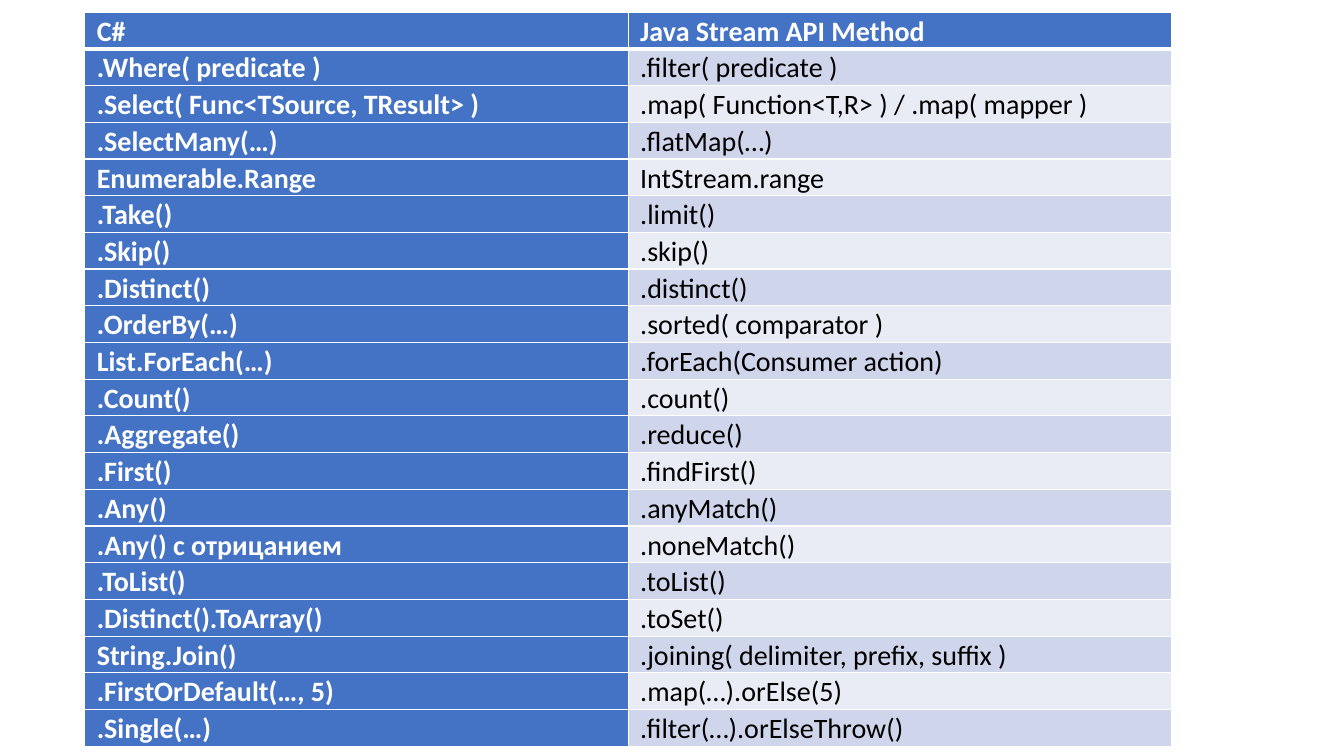
"""Build a slide that maps C# LINQ methods to the Java Stream API."""
from dataclasses import dataclass

from lxml.etree import SubElement
from pptx import Presentation
from pptx.dml.color import RGBColor
from pptx.oxml.ns import qn
from pptx.table import _Cell as Cell
from pptx.util import Inches, Pt

WHITE, BLACK, BLUE = "FFFFFF", "000000", "4472C4"
BANDS = ("CFD5EA", "E9EBF5")
COLUMN_WIDTH, ROW_HEIGHT = 5.39, 0.36


@dataclass(frozen=True)
class MethodPair:
    csharp: str
    java: str


@dataclass(frozen=True)
class CellStyle:
    fill: str
    text: str
    bold: bool


HEADER_STYLE = CellStyle(BLUE, WHITE, True)
BAND_STYLES = [CellStyle(band, BLACK, False) for band in BANDS]

PAIRS = [
    MethodPair("C#", "Java Stream API Method"),
    MethodPair(".Where( predicate )", ".filter( predicate )"),
    MethodPair(".Select( Func<TSource, TResult> )", ".map( Function<T,R> ) / .map( mapper )"),
    MethodPair(".SelectMany(…)", ".flatMap(…)"),
    MethodPair("Enumerable.Range", "IntStream.range"),
    MethodPair(".Take()", ".limit()"),
    MethodPair(".Skip()", ".skip()"),
    MethodPair(".Distinct()", ".distinct()"),
    MethodPair(".OrderBy(…)", ".sorted( comparator )"),
    MethodPair("List.ForEach(…)", ".forEach(Consumer action)"),
    MethodPair(".Count()", ".count()"),
    MethodPair(".Aggregate()", ".reduce()"),
    MethodPair(".First()", ".findFirst()"),
    MethodPair(".Any()", ".anyMatch()"),
    MethodPair(".Any() с отрицанием", ".noneMatch()"),
    MethodPair(".ToList()", ".toList()"),
    MethodPair(".Distinct().ToArray()", ".toSet()"),
    MethodPair("String.Join()", ".joining( delimiter, prefix, suffix )"),
    MethodPair(".FirstOrDefault(…, 5)", ".map(…).orElse(5)"),
    MethodPair(".Single(…)", ".filter(…).orElseThrow()"),
]


def color(value: str) -> RGBColor:
    return RGBColor.from_string(value)


def add_borders(cell: Cell, top: float, bottom: float) -> None:
    properties = cell._tc.get_or_add_tcPr()
    for side, width in (("L", 1), ("R", 1), ("T", top), ("B", bottom)):
        line = SubElement(properties, qn(f"a:ln{side}"), w=str(Pt(width)))
        fill = SubElement(line, qn("a:solidFill"))
        SubElement(fill, qn("a:srgbClr"), val=WHITE)


def write_cell(cell: Cell, text: str, style: CellStyle) -> None:
    cell.fill.solid()
    cell.fill.fore_color.rgb = color(style.fill)
    cell.margin_left = cell.margin_right = Inches(0.12)
    cell.margin_top = cell.margin_bottom = 0
    cell.text = text
    paragraph = cell.text_frame.paragraphs[0]
    paragraph.line_spacing = 1.07
    paragraph.space_after = Pt(8)
    font = paragraph.font
    font.name, font.size, font.bold = "Calibri", Pt(20), style.bold
    font.color.rgb = color(style.text)


def main() -> None:
    presentation = Presentation()
    presentation.slide_width, presentation.slide_height = Inches(13.33), Inches(7.5)
    slide = presentation.slides.add_slide(presentation.slide_layouts[6])
    table = slide.shapes.add_table(
        len(PAIRS), 2, Inches(0.84), Inches(0.12),
        Inches(2 * COLUMN_WIDTH), Inches(len(PAIRS) * ROW_HEIGHT),
    ).table
    table.first_col = True
    for column in table.columns:
        column.width = Inches(COLUMN_WIDTH)
    for index, pair in enumerate(PAIRS):
        table.rows[index].height = Inches(ROW_HEIGHT)
        java_style = BAND_STYLES[(index - 1) % 2] if index else HEADER_STYLE
        cells = ((pair.csharp, HEADER_STYLE), (pair.java, java_style))
        for column_index, (text, style) in enumerate(cells):
            cell = table.cell(index, column_index)
            add_borders(cell, top=3 if index == 1 else 1, bottom=3 if index == 0 else 1)
            write_cell(cell, text, style)
    presentation.save("out.pptx")


if __name__ == "__main__":
    main()
